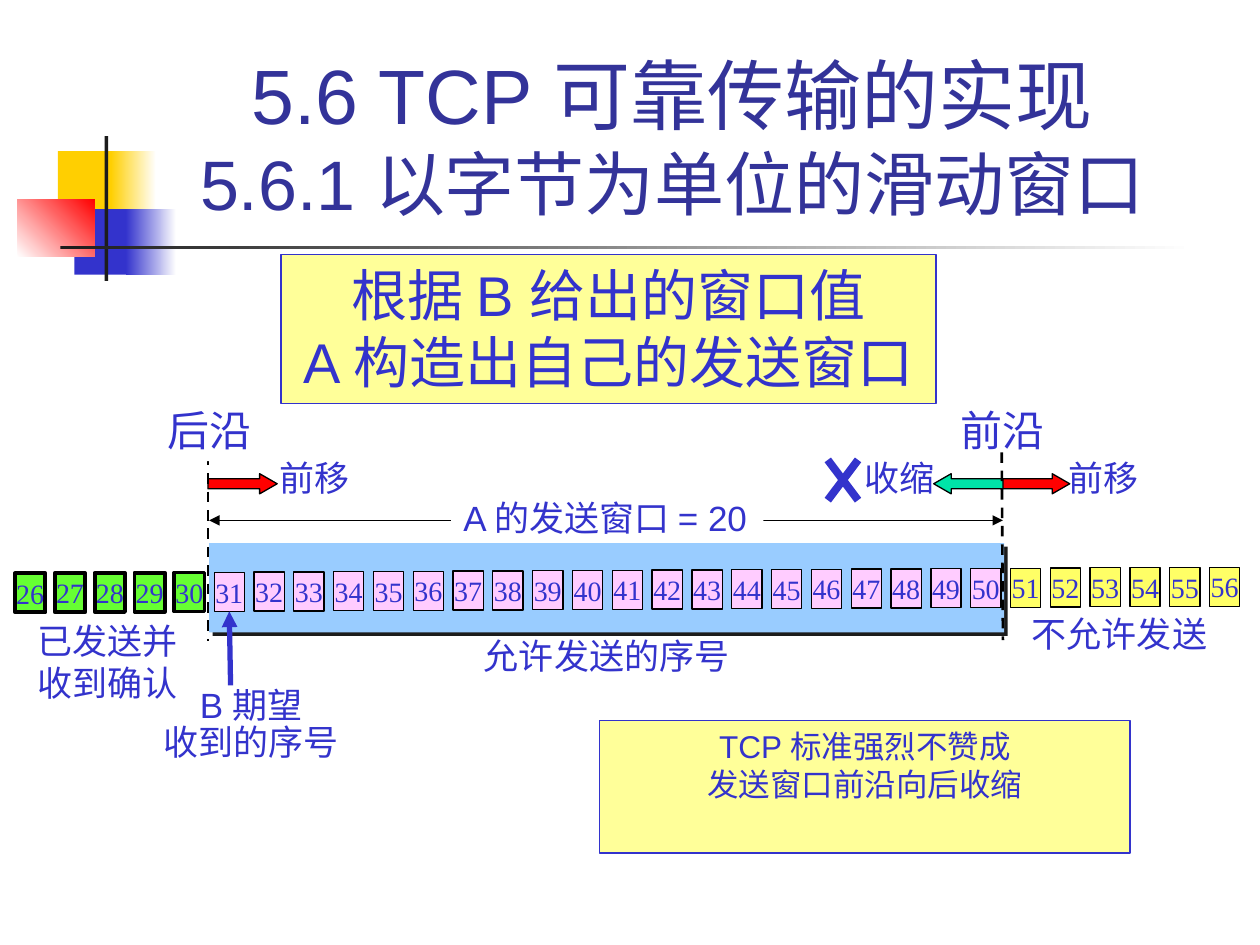
from dataclasses import dataclass
from typing import Optional

from lxml.etree import SubElement
from pptx import Presentation
from pptx.dml.color import RGBColor
from pptx.enum.dml import MSO_LINE
from pptx.enum.shapes import MSO_CONNECTOR, MSO_SHAPE as Shape
from pptx.enum.text import MSO_ANCHOR as Anchor, MSO_AUTO_SIZE, PP_ALIGN as Align
from pptx.oxml.ns import qn
from pptx.util import Emu, Pt

PX = 9144  # 100 px to the inch

BLACK = RGBColor(0x00, 0x00, 0x00)
WHITE = RGBColor(0xFF, 0xFF, 0xFF)
DARK = RGBColor(0x1C, 0x1C, 0x1C)
NAVY = RGBColor(0x33, 0x33, 0x99)
BLUE = RGBColor(0x33, 0x33, 0xCC)
GOLD = RGBColor(0xFF, 0xCF, 0x01)
RED = RGBColor(0xFF, 0x00, 0x00)
TEAL = RGBColor(0x00, 0xE4, 0xA8)
SKY = RGBColor(0x99, 0xCC, 0xFF)
GREEN = RGBColor(0x66, 0xFF, 0x33)
PINK = RGBColor(0xFF, 0xCC, 0xFF)
YELLOW = RGBColor(0xFF, 0xFF, 0x66)
CREAM = RGBColor(0xFF, 0xFF, 0x99)

ARIAL, TIMES = "Arial", "Times New Roman"


@dataclass
class Block:
    x: int
    y: int
    w: int
    h: int
    fill: RGBColor
    fade_to: Optional[RGBColor] = None
    angle: int = 0


@dataclass
class Label:
    x: int
    y: int
    w: int
    h: int
    lines: tuple[str, ...]
    size: int = 20
    font: str = TIMES
    fill: Optional[RGBColor] = WHITE
    border: Optional[RGBColor] = None
    align: Align = Align.CENTER
    spacing: float = 1.0


@dataclass
class CellGroup:
    first: int
    last: int
    fill: RGBColor
    border: float


def px(n: float) -> Emu:
    return Emu(round(n * PX))


def add_run(p, text: str, size: float, font: str, color: RGBColor) -> None:
    r = p.add_run()
    r.text = text
    r.font.size, r.font.name = Pt(size), font
    r.font.color.rgb = color


def add_box(shapes, kind, x, y, w, h, fill, border=None, width=0.75):
    sp = shapes.add_shape(kind, px(x), px(y), px(w), px(h))
    sp.shadow.inherit = False
    sp.fill.solid()
    sp.fill.fore_color.rgb = fill
    if border is None:
        sp.line.fill.background()
    else:
        sp.line.color.rgb = border
        sp.line.width = Pt(width)
    return sp


def add_block(shapes, b: Block) -> None:
    sp = add_box(shapes, Shape.RECTANGLE, b.x, b.y, b.w, b.h, b.fill)
    if b.fade_to is not None:
        sp.fill.gradient()
        sp.fill.gradient_angle = b.angle
        for stop, color in zip(sp.fill.gradient_stops, (b.fill, b.fade_to)):
            stop.color.rgb = color


def add_label(shapes, t: Label) -> None:
    if t.fill is None:
        sp = shapes.add_textbox(px(t.x), px(t.y), px(t.w), px(t.h))
    else:
        sp = add_box(shapes, Shape.RECTANGLE, t.x, t.y, t.w, t.h, t.fill, t.border)
    tf = sp.text_frame
    tf.word_wrap = False
    tf.vertical_anchor = Anchor.TOP
    for i, line in enumerate(t.lines):
        p = tf.add_paragraph() if i else tf.paragraphs[0]
        p.alignment, p.line_spacing = t.align, t.spacing
        add_run(p, line, t.size, t.font, BLUE)


def add_line(shapes, x1, y1, x2, y2, color, width, dash=None, ends=()):
    """Draw a straight line; ends may hold headEnd and tailEnd."""
    line = shapes.add_connector(MSO_CONNECTOR.STRAIGHT, px(x1), px(y1), px(x2), px(y2))
    line.line.color.rgb = color
    line.line.width = Pt(width)
    if dash is not None:
        line.line.dash_style = dash
    ln = line.line._get_or_add_ln()
    for end in ends:
        SubElement(ln, qn(f"a:{end}"), type="triangle")
    SubElement(line._element.spPr, qn("a:effectLst"))
    return line


def add_arrow(shapes, kind, x: int, fill: RGBColor) -> None:
    sp = add_box(shapes, kind, x, 376, 55, 16, fill, BLACK)
    sp.adjustments[0], sp.adjustments[1] = 0.5, 0.87


def add_cells(shapes, group: CellGroup) -> dict:
    cells = {}
    for number in range(group.first, group.last + 1):
        i = number - 26
        sp = add_box(shapes, Shape.RECTANGLE, 12 + 31.6 * i, 455 - 0.16 * i, 24, 31,
                     group.fill, BLACK, group.border)
        tf = sp.text_frame
        tf.word_wrap = False
        tf.vertical_anchor = Anchor.MIDDLE
        p = tf.paragraphs[0]
        p.alignment = Align.CENTER
        add_run(p, str(number), 16, TIMES, BLUE)
        cells[number] = sp
    return cells


def add_window(shapes) -> None:
    sp = add_box(shapes, Shape.RECTANGLE, 166, 431, 631, 71, SKY)
    effects = sp._element.spPr.find(qn("a:effectLst"))
    shadow = SubElement(effects, qn("a:outerShdw"), dist=str(Pt(2.8)), dir="2700000",
                        algn="ctr", rotWithShape="0")
    SubElement(shadow, qn("a:srgbClr"), val=str(DARK))


def set_title(title) -> None:
    title.left, title.top, title.width, title.height = px(126), px(23), px(815), px(160)
    tf = title.text_frame
    tf.auto_size = MSO_AUTO_SIZE.NONE
    tf.vertical_anchor = Anchor.BOTTOM
    p = tf.paragraphs[0]
    p.alignment = Align.CENTER
    add_run(p, "5.6 TCP 可靠传输的实现", 44, ARIAL, NAVY)
    p.add_line_break()
    add_run(p, "5.6.1 以字节为单位的滑动窗口", 40, ARIAL, NAVY)


DECORATION = [
    Block(46, 120, 48, 52, GOLD),
    Block(88, 120, 36, 52, GOLD, WHITE),
    Block(59, 166, 46, 52, BLUE),
    Block(100, 166, 40, 52, BLUE, WHITE),
    Block(14, 158, 61, 46, WHITE, RED, 45),
    Block(83, 108, 3, 115, DARK),
    Block(48, 195, 900, 3, DARK, WHITE),
]
RANGE_LABELS = [
    Label(809, 481, 159, 43, ("不允许发送",)),
    Label(20, 487, 131, 77, ("已发送并", "收到确认")),
    Label(358, 389, 248, 43, ("A 的发送窗口 = 20",), font=ARIAL, align=Align.LEFT),
    Label(374, 499, 215, 43, ("允许发送的序号",)),
]
CELL_GROUPS = [
    CellGroup(26, 30, GREEN, 2.25),
    CellGroup(31, 50, PINK, 0.75),
    CellGroup(51, 56, YELLOW, 0.75),
]
EDGE_LABELS = [
    Label(120, 541, 159, 70, ("B 期望", "收到的序号"), font=ARIAL, fill=None, spacing=0.9),
    Label(752, 316, 87, 50, ("前沿",), 24),
    Label(123, 316, 87, 50, ("后沿",), 24),
    Label(212, 357, 76, 43, ("前移",), fill=None),
    Label(676, 357, 76, 43, ("收缩",), fill=None),
]
NOTES = [
    Label(223, 202, 520, 118, ("根据 B 给出的窗口值", "A 构造出自己的发送窗口"), 32, ARIAL, CREAM, BLUE),
    Label(476, 572, 421, 105, ("TCP 标准强烈不赞成", "发送窗口前沿向后收缩"), 18, ARIAL, CREAM, BLUE),
]


def main() -> None:
    prs = Presentation()
    prs.slide_width, prs.slide_height = px(1000), px(750)
    s = prs.slides.add_slide(prs.slide_layouts[5])
    shapes = s.shapes

    # Title and its ornament
    for block in DECORATION:
        add_block(shapes, block)
    set_title(shapes.title)

    # Directions in which the two edges move
    add_label(shapes, Label(838, 357, 76, 43, ("前移",)))
    add_arrow(shapes, Shape.RIGHT_ARROW, 794, RED)
    add_arrow(shapes, Shape.LEFT_ARROW, 741, TEAL)
    add_arrow(shapes, Shape.RIGHT_ARROW, 165, RED)

    # Window span, range labels and numbered bytes
    add_line(shapes, 166, 413, 796, 413, BLACK, 0.75, ends=("headEnd", "tailEnd"))
    for label in RANGE_LABELS:
        add_label(shapes, label)
    add_window(shapes)
    cells = {}
    for group in CELL_GROUPS:
        cells.update(add_cells(shapes, group))

    # Pointer to the next byte that B expects
    pointer = add_line(shapes, 183, 544, 182, 488, BLUE, 3, ends=("tailEnd",))
    pointer.end_connect(cells[31], 2)

    # Window edges
    add_line(shapes, 165, 361, 165, 509, BLACK, 1.5, MSO_LINE.DASH)
    for label in EDGE_LABELS:
        add_label(shapes, label)
    add_line(shapes, 795, 359, 796, 508, BLACK, 1.5, MSO_LINE.DASH)

    # Cross against shrinking
    for x1, x2 in ((681, 657), (657, 681)):
        add_line(shapes, x1, 365, x2, 397, BLUE, 4.5)

    # Notes
    for note in NOTES:
        add_label(shapes, note)

    prs.save("out.pptx")


if __name__ == "__main__":
    main()
